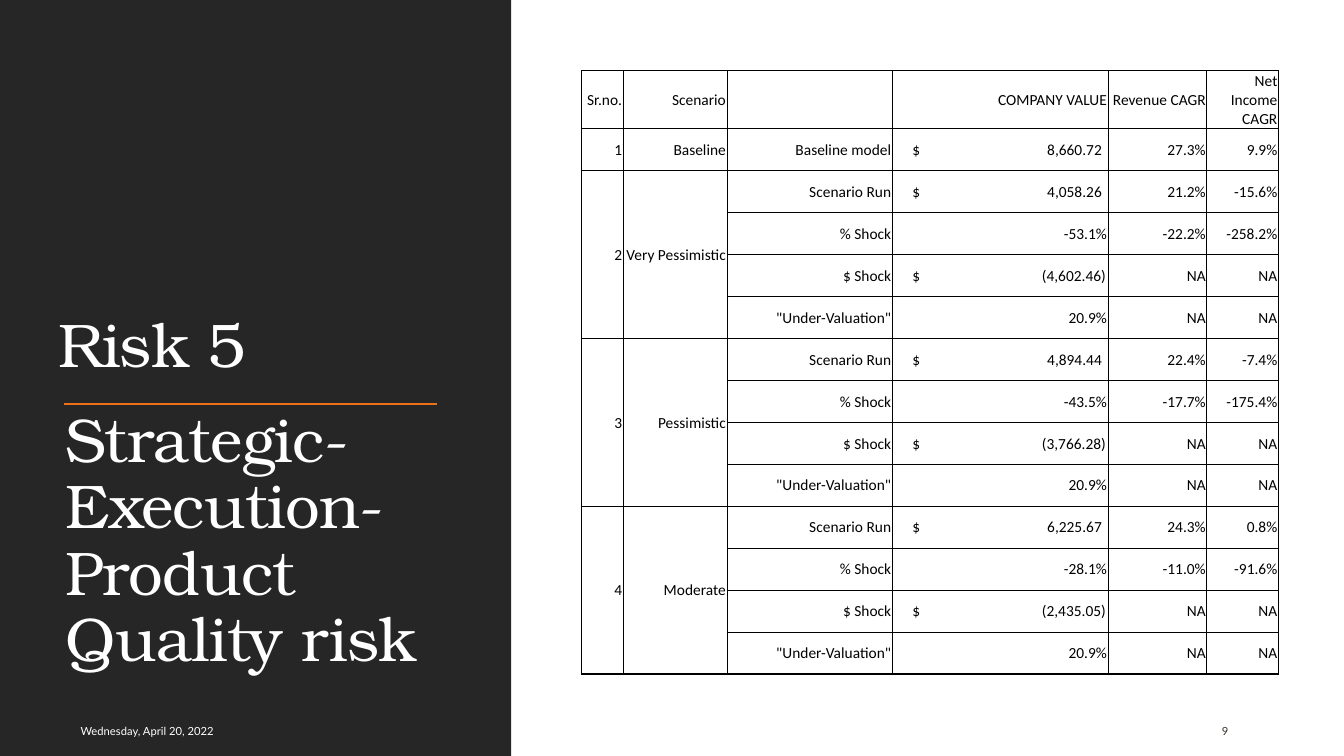
from lxml import etree
from pptx import Presentation
from pptx import util as u
from pptx.dml.color import RGBColor
from pptx.enum import shapes, text
from pptx.oxml import ns

COLORS = {"panel": "262626", "white": "FFFFFF", "rule": "EC7016",
          "ink": "000000", "number": "39302A"}
DISPLAY = "TeX Gyre Bonum"
COLUMNS = [0.41, 1.03, 1.64, 2.14, 0.98, 0.71]
HEADINGS = ["Sr.no.", "Scenario", "", "COMPANY VALUE", "Revenue CAGR", "Net Income CAGR"]
MEASURES = ["Scenario Run", "% Shock", "$ Shock", '"Under-Valuation"']
SCENARIOS = [
    ("Baseline", [("$\t8,660.72", "27.3%", "9.9%")]),
    ("Very Pessimistic", [("$\t4,058.26", "21.2%", "-15.6%"),
                          ("-53.1%", "-22.2%", "-258.2%"),
                          ("$\t(4,602.46)", "NA", "NA"),
                          ("20.9%", "NA", "NA")]),
    ("Pessimistic", [("$\t4,894.44", "22.4%", "-7.4%"),
                     ("-43.5%", "-17.7%", "-175.4%"),
                     ("$\t(3,766.28)", "NA", "NA"),
                     ("20.9%", "NA", "NA")]),
    ("Moderate", [("$\t6,225.67", "24.3%", "0.8%"),
                  ("-28.1%", "-11.0%", "-91.6%"),
                  ("$\t(2,435.05)", "NA", "NA"),
                  ("20.9%", "NA", "NA")]),
]


def color(name):
    return RGBColor.from_string(COLORS[name])


def add_element(parent, tag, **attributes):
    return etree.SubElement(parent, ns.qn(tag), **attributes)


def write(frame, words, size, font, ink, align=text.PP_ALIGN.LEFT,
          spacing=None, tracking=None):
    para = frame.paragraphs[0]
    para.alignment = align
    para.line_spacing = spacing
    span = para.add_run()
    span.text = words
    for face in (para.font, span.font):
        face.size = u.Pt(size)
        face.name = font
        face.bold = False
        face.color.rgb = color(ink)
    if tracking is not None:
        span.font._element.set("spc", str(int(tracking * 100)))


def format_box(box, area, anchor):
    box.left, box.top, box.width, box.height = map(u.Inches, area)
    frame = box.text_frame
    frame.word_wrap = True
    frame.auto_size = text.MSO_AUTO_SIZE.NONE
    frame.vertical_anchor = anchor
    return frame


def add_label(page, area, words, anchor=text.MSO_ANCHOR.MIDDLE, **style):
    box = page.shapes.add_textbox(0, 0, 0, 0)
    write(format_box(box, area, anchor), words, **style)


def add_title_panel(page, left, top, width, height):
    panel = page.shapes.add_shape(shapes.MSO_SHAPE.RECTANGLE,
                                  *map(u.Inches, (left, top, width, height)))
    panel.shadow.inherit = False
    panel.fill.solid()
    panel.fill.fore_color.rgb = color("panel")
    panel.line.fill.background()
    page.shapes._spTree.insert(2, panel._element)

    heading = dict(size=44, font=DISPLAY, ink="white", spacing=0.9, tracking=-0.5)
    title = format_box(page.shapes.title, (left + 0.48, top + 0.7, 4, 3.13),
                       text.MSO_ANCHOR.BOTTOM)
    write(title, "Risk 5", **heading)

    level = u.Inches(top + 4.01)
    rule = page.shapes.add_connector(shapes.MSO_CONNECTOR.STRAIGHT,
                                     u.Inches(left + 0.63), level,
                                     u.Inches(left + 4.33), level)
    rule.line.color.rgb = color("rule")
    rule.line.width = u.Pt(1.5)
    add_element(rule._element.spPr, "a:effectLst")

    add_label(page, (left + 0.55, top + 4.01, 4, 3.13),
              "Strategic-Execution-Product Quality risk",
              anchor=text.MSO_ANCHOR.TOP, **heading)
    add_label(page, (left + 0.7, top + 7.05, 3.85, 0.4),
              "Wednesday, April 20, 2022", size=8, font="Lato", ink="white")


def set_borders(cell, **widths):
    properties = cell._tc.get_or_add_tcPr()
    for side in "LRTB":
        line = add_element(properties, f"a:ln{side}", w=str(u.Pt(widths[side])))
        add_element(add_element(line, "a:solidFill"), "a:srgbClr", val=COLORS["ink"])


def fill_cell(cell, words):
    cell.margin_left = cell.margin_right = cell.margin_top = u.Inches(0.01)
    cell.margin_bottom = 0
    cell.vertical_anchor = text.MSO_ANCHOR.MIDDLE
    align = text.PP_ALIGN.RIGHT
    if "\t" in words:
        align = text.PP_ALIGN.LEFT
        cell.margin_left = u.Inches(0.2)
        stop = 1.92 if words.endswith(")") else 1.88
        para = cell.text_frame.paragraphs[0]
        tabs = add_element(para._p.get_or_add_pPr(), "a:tabLst")
        add_element(tabs, "a:tab", pos=str(u.Inches(stop)), algn="r")
    write(cell.text_frame, words, size=11, font="Calibri", ink="ink", align=align)


def add_scenario_table(page, left, top, width, height):
    rows, spans = [HEADINGS], {0: 1}
    for number, (scenario, results) in enumerate(SCENARIOS, 1):
        spans[len(rows)] = len(results)
        labels = MEASURES if len(results) > 1 else ["Baseline model"]
        for label, values in zip(labels, results):
            rows.append([str(number), scenario, label, *values])
    heavy = {*spans, len(rows)}
    last = len(COLUMNS) - 1

    table = page.shapes.add_table(len(rows), len(COLUMNS),
                                  *map(u.Inches, (left, top, width, height))).table
    table.first_row = table.horz_banding = False
    for column, size in zip(table.columns, COLUMNS):
        column.width = u.Inches(size)
    header = 0.57
    for index, row in enumerate(table.rows):
        row.height = u.Inches((height - header) / (len(rows) - 1) if index else header)
    for start, count in spans.items():
        if count > 1:
            for column in (0, 1):
                table.cell(start, column).merge(table.cell(start + count - 1, column))

    for r, values in enumerate(rows):
        for c, words in enumerate(values):
            cell = table.cell(r, c)
            if cell.is_spanned:
                continue
            end = r + (cell.span_height if cell.is_merge_origin else 1)
            set_borders(cell, L=1 if c == 0 else 0.5, R=1 if c == last else 0.5,
                        T=1 if r in heavy else 0.5, B=1 if end in heavy else 0.5)
            cell.fill.background()
            fill_cell(cell, words)


def main():
    deck = Presentation()
    deck.slide_width, deck.slide_height = u.Inches(13.33), u.Inches(7.5)
    page = deck.slides.add_slide(deck.slide_layouts.get_by_name("Title Only"))
    page.background.fill.solid()
    page.background.fill.fore_color.rgb = color("white")
    add_title_panel(page, 0, 0, 5.07, 7.5)
    add_scenario_table(page, 5.77, 0.7, sum(COLUMNS), 5.98)
    add_label(page, (12.02, 7.05, 0.85, 0.4), "9", size=8, font="Lato", ink="number")
    deck.save("out.pptx")


if __name__ == "__main__":
    main()
